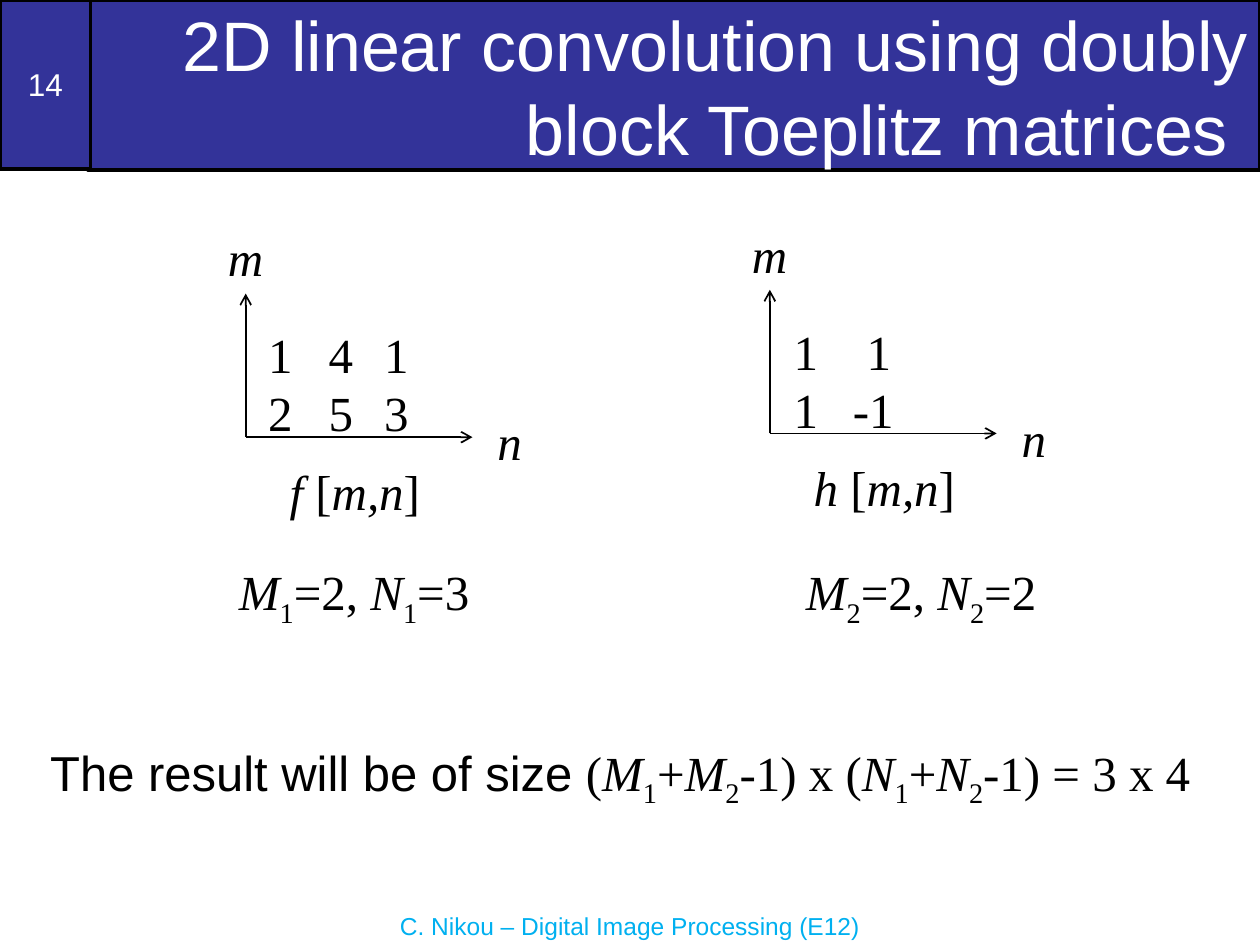
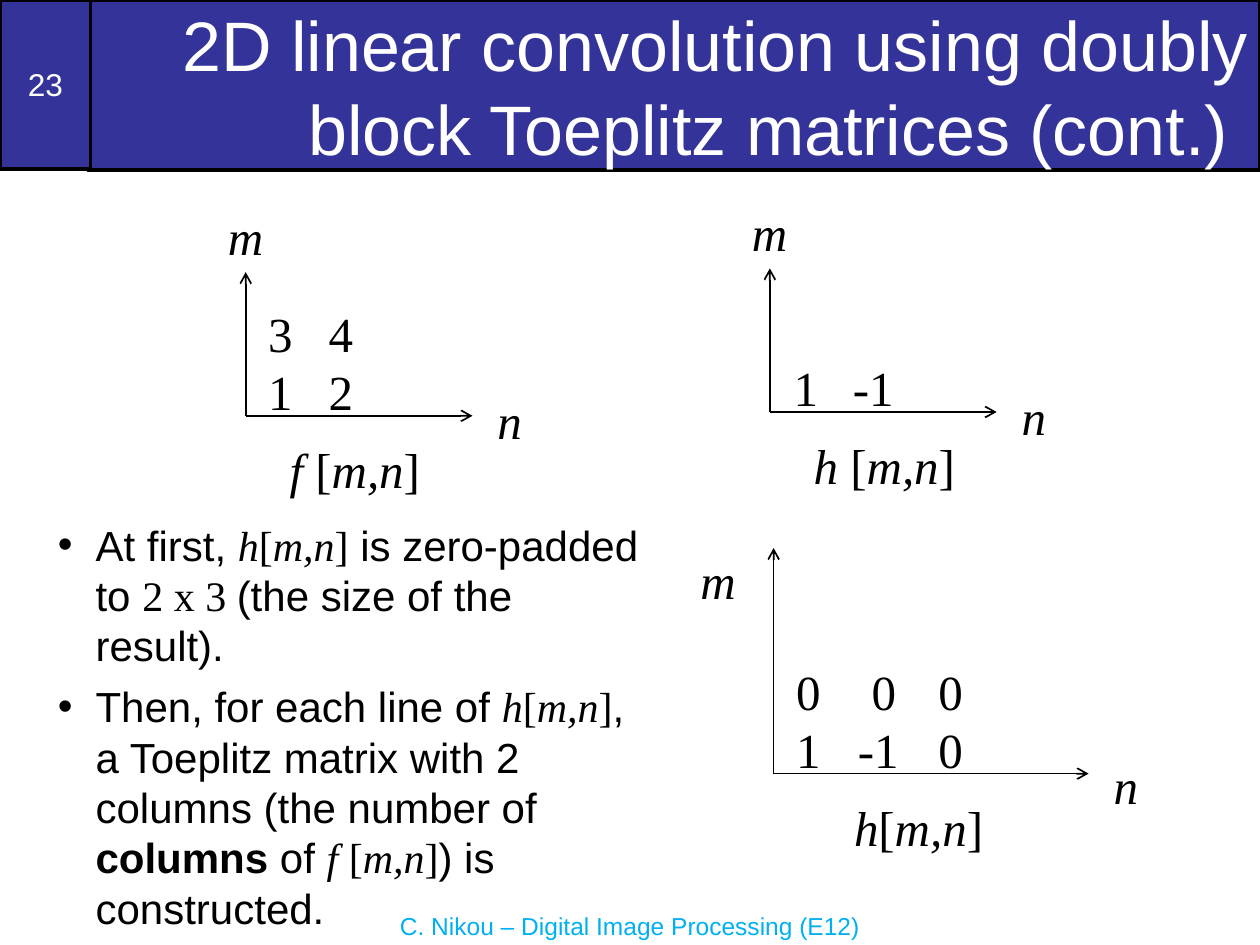
from lxml import etree
from pptx import Presentation
from pptx.dml.color import RGBColor
from pptx.enum.shapes import MSO_CONNECTOR, MSO_SHAPE
from pptx.enum.text import MSO_ANCHOR, MSO_AUTO_SIZE, PP_ALIGN
from pptx.oxml.ns import qn
from pptx.util import Inches, Pt

NAVY = RGBColor(0x33, 0x33, 0x99)
BLACK = RGBColor(0, 0, 0)
WHITE = RGBColor(0xFF, 0xFF, 0xFF)
CYAN = RGBColor(0x00, 0xB0, 0xF0)
SANS, SERIF = "Arial", "Times New Roman"
LEFT, CENTER = PP_ALIGN.LEFT, PP_ALIGN.CENTER

# Run styles: a = sans, b = bold sans, t = serif, i = italic serif, s = serif subscript
ARGS = [("t", "["), ("i", "m,n"), ("t", "]")]
F_MN = [("i", "f ")] + ARGS
H_MN = [("i", "h ")] + ARGS
H_TIGHT = [("i", "h")] + ARGS


def add_text(s, x, y, w, h, paragraphs, size=28, color=BLACK, align=LEFT):
    """Add a text box; each paragraph is a list of (style, text) runs."""
    tf = s.shapes.add_textbox(Inches(x), Inches(y), Inches(w), Inches(h)).text_frame
    tf.word_wrap = True
    for n, runs in enumerate(paragraphs):
        p = tf.add_paragraph() if n else tf.paragraphs[0]
        p.alignment = align
        for style, text in runs:
            r = p.add_run()
            r.text = text
            r.font.size = Pt(size)
            r.font.name = SANS if style in "ab" else SERIF
            r.font.color.rgb = color
            r.font.bold = style == "b"
            r.font.italic = style == "i"
            if style == "s":
                r._r.get_or_add_rPr().set("baseline", "-25000")
    return tf


def add_plot(s, x, y, rows, cols, label, size=(1.8, 1.14), m_at=(-0.24, -1.71),
             n_dy=-0.25, label_dx=0.25):
    """Draw the m and n axes from (x, y) with the sample values above them."""
    width, height = size
    for end_x, end_y in [(x + width, y), (x, y - height)]:
        axis = s.shapes.add_connector(MSO_CONNECTOR.STRAIGHT, Inches(x), Inches(y),
                                      Inches(end_x), Inches(end_y))
        axis.line.color.rgb = BLACK
        axis.line.width = Pt(1)
        etree.SubElement(axis.line._get_or_add_ln(), qn("a:tailEnd"), type="arrow")
        etree.SubElement(axis._element.spPr, qn("a:effectLst"))
    add_text(s, x + m_at[0], y + m_at[1], 0.53, 0.57, [[("i", "m")]])
    add_text(s, x + width + 0.1, y + n_dy, 0.4, 0.57, [[("i", "n")]])
    for i, row in enumerate(reversed(rows)):
        for dx, value in zip(cols, row):
            minus = 0.11 if value < 0 else 0
            add_text(s, x + dx - minus, y - 0.48 - 0.46 * i, 0.4 + 2 * minus, 0.57,
                     [[("t", str(value))]])
    add_text(s, x + label_dx, y + 0.14, 1.67, 0.57, [label])


prs = Presentation()
prs.slide_width, prs.slide_height = Inches(10), Inches(7.5)

# Shared frame: title band, number band and footer
TITLE = "2D linear convolution using doubly block Toeplitz matrices "
slides = []
for number, title in [("14", TITLE), ("23", TITLE + "(cont.) ")]:
    s = prs.slides.add_slide(prs.slide_layouts[5])
    slides.append(s)
    box = s.shapes.add_shape(MSO_SHAPE.RECTANGLE, 0, 0, Inches(0.72), Inches(1.34))
    box.shadow.inherit = False
    band = s.shapes.title
    band.left, band.top = Inches(0.7), 0
    band.width, band.height = Inches(9.3), Inches(1.35)
    for sp, text, size, align in [(box, number, 18, CENTER),
                                  (band, title, 40, PP_ALIGN.RIGHT)]:
        sp.fill.solid()
        sp.fill.fore_color.rgb = NAVY
        sp.line.color.rgb = BLACK
        sp.line.width = Pt(2)
        tf = sp.text_frame
        tf.text = text
        tf.word_wrap = True
        tf.auto_size = MSO_AUTO_SIZE.NONE
        tf.vertical_anchor = MSO_ANCHOR.MIDDLE
        p = tf.paragraphs[0]
        p.alignment = align
        font = p.runs[0].font
        font.name, font.size = SANS, Pt(size)
        font.color.rgb = WHITE
    add_text(s, 0, 7.18, 10, 0.34, [[("a", "C. Nikou – Digital Image Processing (E12)")]],
             14, CYAN, CENTER)

# Slide 14: the two signals and the size of the result
s = slides[0]
add_plot(s, 1.95, 3.47, [[1, 4, 1], [2, 5, 3]], [0.08, 0.56, 1.0], F_MN)
add_plot(s, 6.11, 3.44, [[1, 1], [1, -1]], [0.09, 0.67], H_MN)
for x, index, columns in [(1.49, "1", "3"), (5.99, "2", "2")]:
    add_text(s, x, 4.41, 2.64, 0.63,
             [[("i", "M"), ("s", index), ("t", "=2, "),
               ("i", "N"), ("s", index), ("t", "=" + columns)]], align=CENTER)
add_text(s, 0.3, 5.84, 9.39, 0.63,
         [[("a", "The result will be of size "), ("t", "("),
           ("i", "M"), ("s", "1"), ("t", "+"), ("i", "M"), ("s", "2"), ("t", "-1) x ("),
           ("i", "N"), ("s", "1"), ("t", "+"), ("i", "N"), ("s", "2"),
           ("t", "-1) = 3 x 4")]])

# Slide 23: explanation
s = slides[1]
steps = [
    [("a", "At first, ")] + H_TIGHT
    + [("a", " is zero-padded to "), ("t", "2 x 3 "), ("a", "(the size of the result).")],
    [("a", "Then, for each line of ")] + H_TIGHT
    + [("a", ", a Toeplitz matrix with 2 columns (the number of "), ("b", "columns"),
       ("a", " of ")] + F_MN + [("a", ") is constructed.")],
]
for p in add_text(s, 0.27, 4.07, 4.91, 3.39, steps, 24).paragraphs:
    p.space_after = Pt(6)
    pPr = p._p.get_or_add_pPr()
    pPr.set("marL", str(Inches(0.39)))
    pPr.set("indent", str(Inches(-0.3)))
    etree.SubElement(pPr, qn("a:buFont"), typeface=SANS)
    etree.SubElement(pPr, qn("a:buChar"), char="•")

# Slide 23: the signals and the zero-padded h
add_plot(s, 6.14, 6.14, [[0, 0, 0], [1, -1, 0]], [0.08, 0.68, 1.21], H_TIGHT,
         size=(2.5, 1.79), m_at=(-0.68, -1.82), n_dy=-0.19, label_dx=0.54)
add_plot(s, 1.95, 3.3, [[3, 4], [1, 2]], [0.08, 0.56], F_MN)
add_plot(s, 6.11, 3.27, [[1, -1]], [0.09, 0.67], H_MN)

prs.save("out.pptx")
